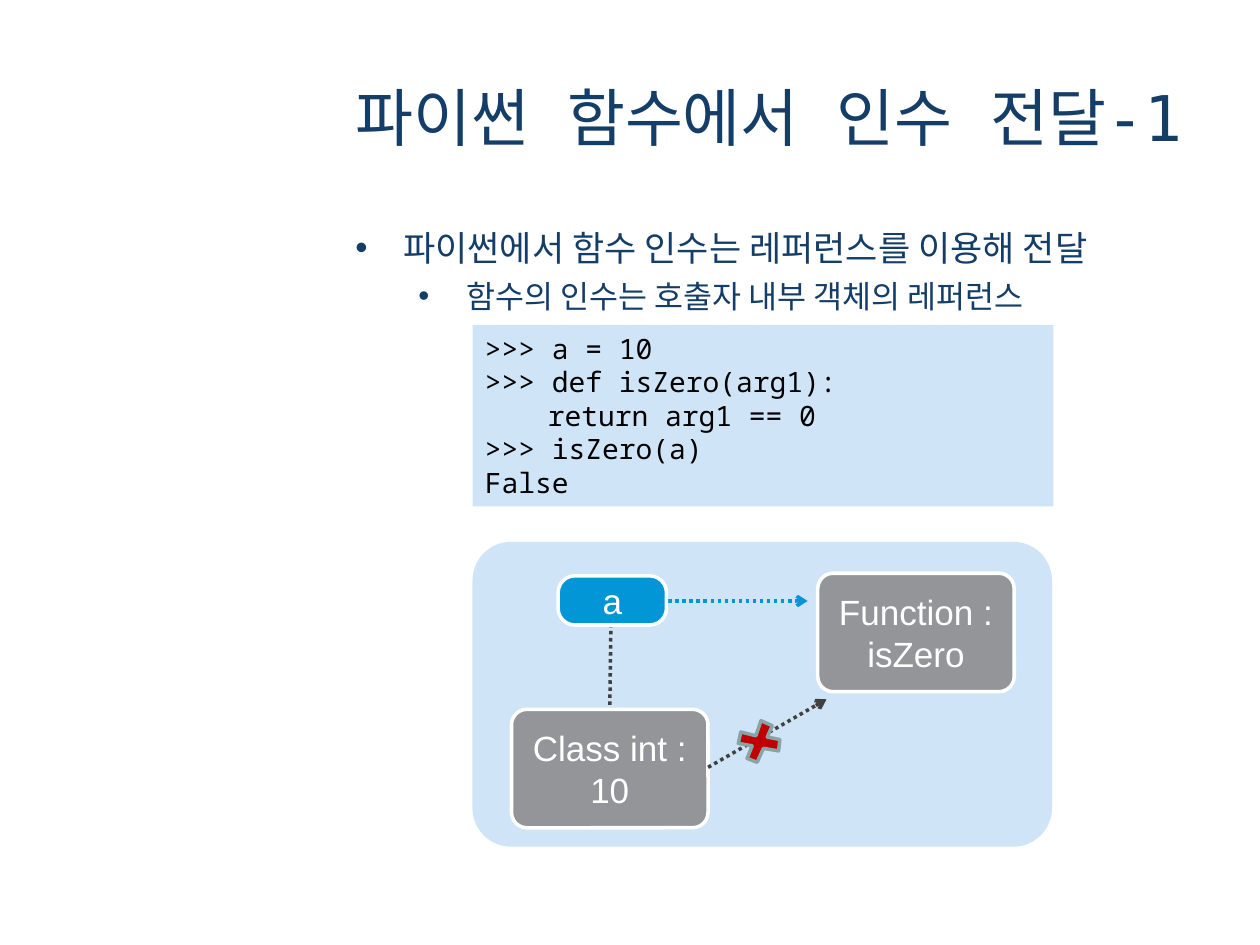
from lxml.etree import SubElement
from pptx import Presentation
from pptx.dml.color import RGBColor
from pptx.enum.dml import MSO_LINE_DASH_STYLE as Dash
from pptx.enum.shapes import MSO_CONNECTOR, MSO_SHAPE
from pptx.enum.text import MSO_ANCHOR as Anchor, MSO_AUTO_SIZE, PP_ALIGN as Align
from pptx.oxml.ns import qn
from pptx.util import Inches, Pt

NAVY, PALE, GRAY, BLUE, DARK = "143D68", "CFE4F6", "939598", "0396D6", "404040"
WHITE, BLACK, RED, SAGE = "FFFFFF", "000000", "C00000", "89A4A7"

CODE = [">>> a = 10", ">>> def isZero(arg1):", "\treturn arg1 == 0",
        ">>> isZero(a)", "False"]
CROSS = [(5.86, 5.9), (5.88, 5.81), (6, 5.84), (6.04, 5.72), (6.13, 5.76), (6.09, 5.85),
         (6.19, 5.87), (6.18, 5.96), (6.06, 5.94), (6.01, 6.05), (5.93, 6.02), (5.97, 5.92)]


def color(hex_value):
    return RGBColor.from_string(hex_value)


def place(shape, left, top, width, height):
    shape.left, shape.top = Inches(left), Inches(top)
    shape.width, shape.height = Inches(width), Inches(height)


def write(paragraph, text, size, font, text_color, align=Align.LEFT, space_before=0):
    paragraph.alignment = align
    paragraph.space_before = Pt(space_before)
    run = paragraph.add_run()
    run.text = text
    run.font.size = Pt(size)
    run.font.name = font
    run.font.color.rgb = color(text_color)
    SubElement(run._r.get_or_add_rPr(), qn("a:ea"), typeface=font)


def write_lines(frame, lines, anchor=Anchor.MIDDLE, **text_format):
    frame.word_wrap = True
    frame.auto_size = MSO_AUTO_SIZE.NONE
    frame.vertical_anchor = anchor
    for index, line in enumerate(lines):
        paragraph = frame.add_paragraph() if index else frame.paragraphs[0]
        write(paragraph, line, **text_format)


def add_bullet(paragraph, level, text, size, space_before):
    paragraph.level = level
    properties = paragraph._p.get_or_add_pPr()
    properties.set("marL", str(Inches(0.38 + 0.5 * level)))
    properties.set("indent", str(Inches(-0.38)))
    bullet_color = SubElement(properties, qn("a:buClr"))
    SubElement(bullet_color, qn("a:srgbClr"), val=NAVY)
    SubElement(properties, qn("a:buFont"), typeface="Arial")
    SubElement(properties, qn("a:buChar"), char="•")
    write(paragraph, text, size, "Noto Sans CJK KR", NAVY, space_before=space_before)


def paint(shape, fill, line=None):
    shape.shadow.inherit = False
    shape.fill.solid()
    shape.fill.fore_color.rgb = color(fill)
    if line:
        shape.line.color.rgb = color(line)
        shape.line.width = Pt(2)
    else:
        shape.line.fill.background()


def add_box(shapes, kind, bounds, fill, line=None, corner=None):
    shape = shapes.add_shape(kind, *map(Inches, bounds))
    paint(shape, fill, line)
    if corner:
        shape.adjustments[0] = corner
    return shape


def add_node(shapes, lines, bounds, fill, corner=0.13):
    node = add_box(shapes, MSO_SHAPE.ROUNDED_RECTANGLE, bounds, fill, WHITE, corner)
    write_lines(node.text_frame, lines, size=20, font="Arial", text_color=WHITE,
                align=Align.CENTER)


def add_dotted_line(shapes, start, end, line_color, arrow=True):
    connector = shapes.add_connector(MSO_CONNECTOR.STRAIGHT, *map(Inches, start + end))
    connector.line.color.rgb = color(line_color)
    connector.line.width = Pt(2)
    connector.line.dash_style = Dash.ROUND_DOT
    if arrow:
        SubElement(connector.line._get_or_add_ln(), qn("a:tailEnd"), type="arrow")
    SubElement(connector._element.spPr, qn("a:effectLst"))


def add_cross(shapes):
    points = [(Inches(x), Inches(y)) for x, y in CROSS]
    builder = shapes.build_freeform(*points[0], scale=1.0)
    builder.add_line_segments(points[1:], close=True)
    paint(builder.convert_to_shape(), RED, SAGE)


def add_diagram(slide):
    shapes = slide.shapes.add_group_shape().shapes
    add_box(shapes, MSO_SHAPE.ROUNDED_RECTANGLE, (3.75, 4.3, 4.6, 2.42), PALE, corner=0.127)
    add_node(shapes, ["Function :", "isZero"], (6.49, 4.55, 1.56, 0.94), GRAY)
    add_dotted_line(shapes, (5.08, 4.77), (6.41, 4.77), BLUE)
    add_node(shapes, ["Class int :", "10"], (4.06, 5.63, 1.56, 0.94), GRAY)
    add_dotted_line(shapes, (4.85, 4.84), (4.84, 5.61), DARK, arrow=False)
    add_node(shapes, ["a"], (4.43, 4.57, 0.86, 0.39), BLUE, corner=0.34)
    add_dotted_line(shapes, (5.62, 6.09), (6.56, 5.55), DARK)
    add_cross(shapes)


def main():
    presentation = Presentation()
    presentation.slide_width, presentation.slide_height = Inches(10), Inches(7.5)
    slide = presentation.slides.add_slide(presentation.slide_layouts[1])

    title, body = slide.placeholders
    place(title, 2.72, 0.3, 6.78, 1.25)
    write_lines(title.text_frame, ["파이썬 함수에서 인수 전달-1"], size=36,
                font="DejaVu Sans Mono", text_color=NAVY)

    place(body, 2.72, 1.75, 6.89, 4.95)
    frame = body.text_frame
    frame.auto_size = MSO_AUTO_SIZE.NONE
    add_bullet(frame.paragraphs[0], 0, "파이썬에서 함수 인수는 레퍼런스를 이용해 전달", 20, 0)
    add_bullet(frame.add_paragraph(), 1, "함수의 인수는 호출자 내부 객체의 레퍼런스", 18, 4.5)

    code = add_box(slide.shapes, MSO_SHAPE.RECTANGLE, (3.75, 2.58, 4.61, 1.44), PALE)
    write_lines(code.text_frame, CODE, anchor=Anchor.TOP, size=16,
                font="Noto Sans Mono", text_color=BLACK)
    add_diagram(slide)
    presentation.save("out.pptx")


if __name__ == "__main__":
    main()
